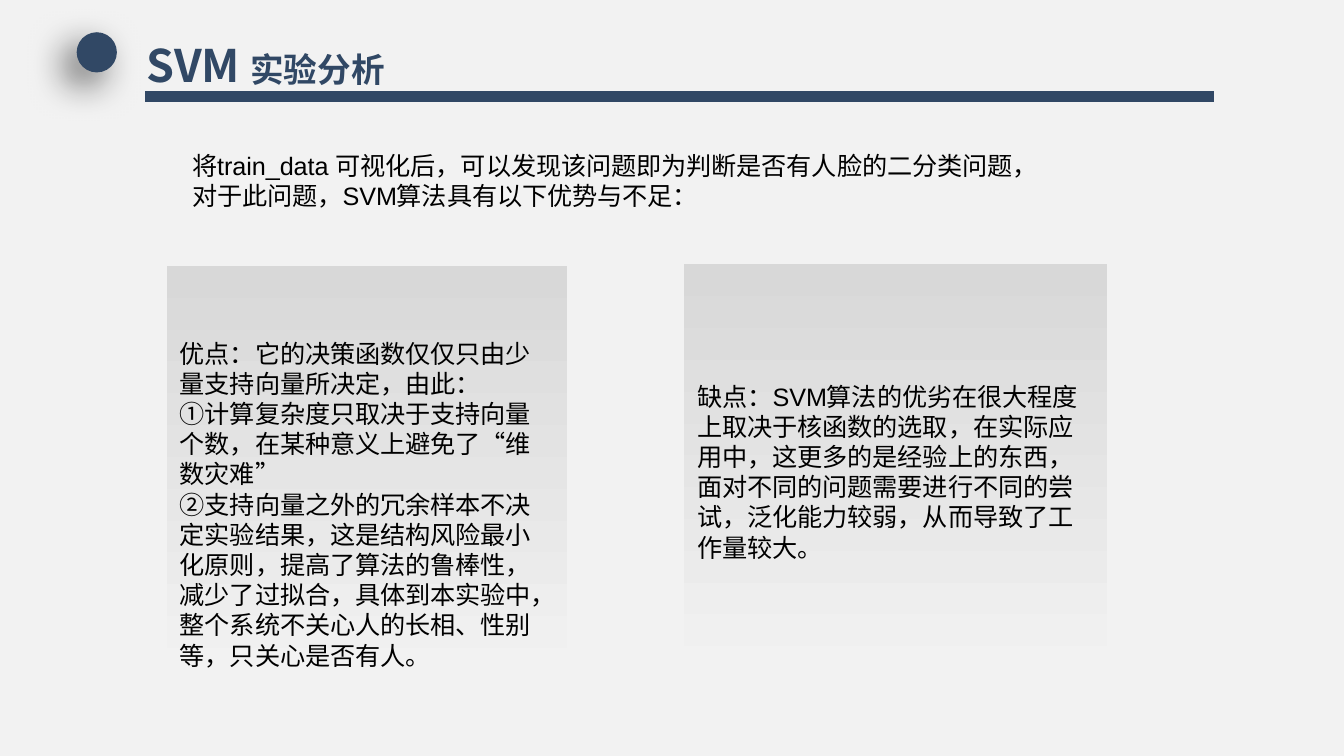
from collections import namedtuple

from lxml.etree import SubElement
from pptx import Presentation
from pptx.dml.color import RGBColor
from pptx.enum.shapes import MSO_SHAPE as Shape
from pptx.enum.text import MSO_ANCHOR as Anchor, MSO_AUTO_SIZE as AutoSize, PP_ALIGN as Align
from pptx.oxml import parse_xml
from pptx.oxml.ns import nsdecls, qn
from pptx.util import Cm, Pt

NAVY = RGBColor(0x31, 0x48, 0x65)
BLACK = RGBColor(0, 0, 0)
PAPER = RGBColor(0xF2, 0xF2, 0xF2)
GREY = RGBColor(0xD8, 0xD8, 0xD8)
LATIN_FONT = "Arial"
CHINESE_FONT = "Noto Sans CJK SC"
BODY_SIZE = Pt(13.5)

Box = namedtuple("Box", "left top width height")

INTRO = "将train_data 可视化后，可以发现该问题即为判断是否有人脸的二分类问题，对于此问题，SVM算法具有以下优势与不足："
STRENGTHS = [
    "优点：它的决策函数仅仅只由少量支持向量所决定，由此：",
    "①计算复杂度只取决于支持向量个数，在某种意义上避免了“维数灾难”",
    "②支持向量之外的冗余样本不决定实验结果，这是结构风险最小化原则，提高了算法的鲁棒性，"
    "减少了过拟合，具体到本实验中，整个系统不关心人的长相、性别等，只关心是否有人。",
]
WEAKNESSES = [
    "缺点：SVM算法的优劣在很大程度上取决于核函数的选取，在实际应用中，这更多的是经验上的东西，"
    "面对不同的问题需要进行不同的尝试，泛化能力较弱，从而导致了工作量较大。",
]


def in_cm(box):
    """Return the four lengths of a box as Cm values."""
    return [Cm(length) for length in box]


def style_para(para, font_name, color):
    """Left-align a paragraph and set its Latin and Chinese fonts."""
    para.alignment = Align.LEFT
    para.font.name = font_name
    para.font.color.rgb = color
    SubElement(para.font._element, qn("a:ea"), typeface=CHINESE_FONT)


def write_body(frame, texts):
    """Fill a text frame with body paragraphs."""
    frame.word_wrap = True
    frame.text = "\n".join(texts)
    for para in frame.paragraphs:
        style_para(para, LATIN_FONT, BLACK)
        para.font.size = BODY_SIZE


def add_plain_shape(page, kind, box):
    """Add a preset shape without outline or shadow."""
    shape = page.shapes.add_shape(kind, *in_cm(box))
    shape.shadow.inherit = False
    shape.line.fill.background()
    return shape


def add_navy_shape(page, kind, box):
    """Add a preset shape in solid navy."""
    shape = add_plain_shape(page, kind, box)
    shape.fill.solid()
    shape.fill.fore_color.rgb = NAVY
    return shape


def add_soft_shadow(shape):
    """Give a shape a blurred shadow towards its lower left."""
    effects = shape._element.spPr.find(qn("a:effectLst"))
    effects.append(parse_xml(
        f'<a:outerShdw {nsdecls("a")} blurRad="{Pt(20)}" dist="{Pt(10)}" dir="8100000" '
        'algn="tr" rotWithShape="0"><a:srgbClr val="000000"><a:alpha val="60000"/>'
        '</a:srgbClr></a:outerShdw>'))


def build_header(page, box):
    """Place the title, the dot before it and the bar below it."""
    title = page.shapes.title
    title.left, title.top, title.width, title.height = in_cm(
        Box(box.left + 1.06, box.top, 5.59, 1.27))
    frame = title.text_frame
    frame.auto_size = AutoSize.NONE
    frame.vertical_anchor = Anchor.TOP
    para = frame.paragraphs[0]
    for text, size in (("SVM ", 24), ("实验分析", 18)):
        span = para.add_run()
        span.text = text
        span.font.size = Pt(size)
    style_para(para, CHINESE_FONT, NAVY)
    para.font.bold = True

    dot = add_navy_shape(page, Shape.OVAL, Box(box.left, box.top + 0.03, 0.76, 0.76))
    add_soft_shadow(dot)
    add_navy_shape(page, Shape.MATH_MINUS,
                   Box(box.left - 2.36, box.top + 0.82, box.width, 0.86))


def build_intro(page, box):
    """Place the introductory paragraph."""
    intro = page.shapes.add_textbox(*in_cm(box))
    write_body(intro.text_frame, [INTRO])


def build_panel(page, box, texts, top_inset):
    """Place a panel that fades into the page, with its text."""
    panel = add_plain_shape(page, Shape.RECTANGLE, box)
    panel.fill.gradient()
    panel.fill.gradient_angle = 270
    for stop, color in zip(panel.fill.gradient_stops, (GREY, PAPER)):
        stop.color.rgb = color
    frame = panel.text_frame
    frame.vertical_anchor = Anchor.MIDDLE
    frame.margin_top = Cm(top_inset)
    write_body(frame, texts)


def main():
    """Build the slide and save the deck."""
    deck = Presentation()
    deck.slide_width, deck.slide_height = Cm(25.4), Cm(14.29)
    page = deck.slides.add_slide(deck.slide_layouts[5])
    page.background.fill.solid()
    page.background.fill.fore_color.rgb = PAPER
    build_header(page, Box(1.45, 0.58, 27.51, 1.68))
    build_intro(page, Box(3.38, 2.72, 16.18, 2.57))
    build_panel(page, Box(3.15, 5.03, 7.57, 7.82), STRENGTHS, 1.3)
    build_panel(page, Box(12.93, 5, 8, 7.82), WEAKNESSES, 0.13)
    deck.save("out.pptx")


if __name__ == "__main__":
    main()
